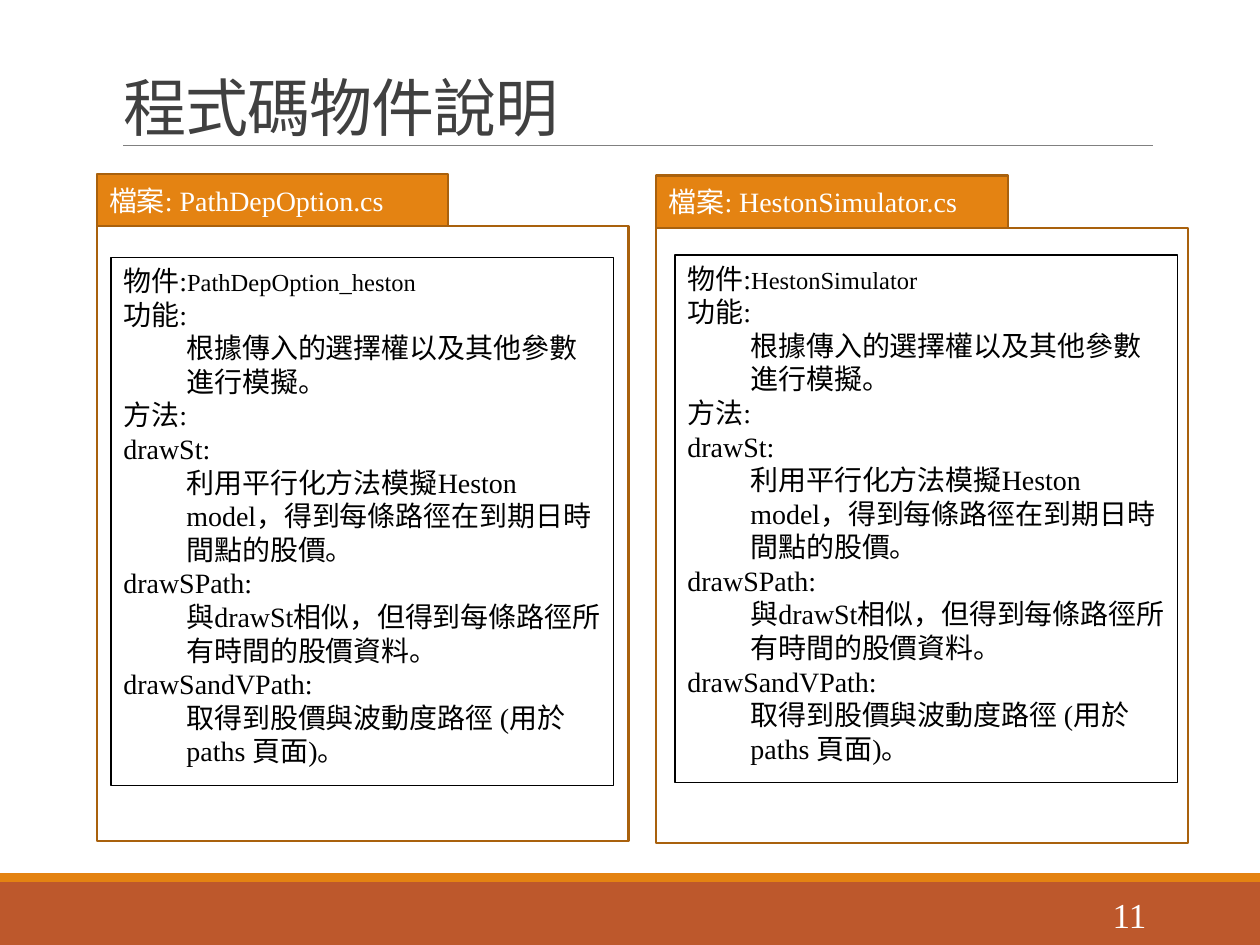
from pptx import Presentation
from pptx import util as u
from pptx.dml.color import RGBColor
from pptx.enum import shapes, text

FONT = "Times New Roman"
ORANGE, RUST, BROWN = "E48312", "BD582C", "A9610D"
MEMBERS = [
    ("功能:", "根據傳入的選擇權以及其他參數進行模擬。"),
    ("方法:", None),
    ("drawSt:", "利用平行化方法模擬Heston model，得到每條路徑在到期日時間點的股價。"),
    ("drawSPath:", "與drawSt相似，但得到每條路徑所有時間的股價資料。"),
    ("drawSandVPath:", "取得到股價與波動度路徑 (用於 paths 頁面)。"),
]


def rgb(value):
    """Turn a hex string into a colour."""
    return RGBColor.from_string(value)


def set_all(target, values):
    """Set each attribute named in a dict."""
    for key, value in values.items():
        setattr(target, key, value)


def add_run(paragraph, wording, size, color):
    """Append formatted words to a paragraph."""
    run = paragraph.add_run()
    run.text = wording
    set_all(run.font, {"name": FONT, "size": u.Pt(size)})
    run.font.color.rgb = rgb(color)
    return run


def add_panel(slide, box, fill=None, line=None, weight=1.25, anchor="MIDDLE"):
    """Draw a rectangle given as left, top, width, height in centimetres."""
    panel = slide.shapes.add_shape(shapes.MSO_SHAPE.RECTANGLE, *map(u.Cm, box))
    panel.shadow.inherit = False
    if fill:
        panel.fill.solid()
        panel.fill.fore_color.rgb = rgb(fill)
    else:
        panel.fill.background()
    if line:
        panel.line.color.rgb = rgb(line)
        panel.line.width = u.Pt(weight)
    else:
        panel.line.fill.background()
    set_all(panel.text_frame, {"word_wrap": True,
                               "vertical_anchor": text.MSO_ANCHOR[anchor]})
    panel.text_frame.paragraphs[0].alignment = text.PP_ALIGN.LEFT
    return panel


def add_header(slide, box, wording):
    """Place the title and the rule under it."""
    left, top, width, height = box
    title = slide.shapes.title
    set_all(title, dict(zip(("left", "top", "width", "height"), map(u.Cm, box))))
    set_all(title.text_frame, {"word_wrap": True,
                               "auto_size": text.MSO_AUTO_SIZE.NONE,
                               "vertical_anchor": text.MSO_ANCHOR.BOTTOM})
    heading = title.text_frame.paragraphs[0]
    set_all(heading, {"alignment": text.PP_ALIGN.LEFT, "line_spacing": 0.85})
    run = add_run(heading, wording, 36, "404040")
    run.font._element.set("spc", "-50")

    rule_y = u.Cm(top + height - 0.1)
    rule = slide.shapes.add_connector(
        shapes.MSO_CONNECTOR.STRAIGHT, u.Cm(left + 0.25), rule_y,
        u.Cm(left + width + 0.05), rule_y)
    rule.line.color.rgb = rgb("808080")
    rule.line.width = u.Pt(0.5)
    effects = rule._element.spPr.makeelement(
        "{http://schemas.openxmlformats.org/drawingml/2006/main}effectLst", {})
    rule._element.spPr.append(effects)


def add_footer(slide, box, number):
    """Draw the two footer bands and the page number."""
    left, top, width, height = box
    stripe = 0.18
    add_panel(slide, (left, top + stripe, width, height - stripe), RUST)
    add_panel(slide, (left, top, width, stripe), ORANGE)
    page = slide.shapes.add_textbox(
        *map(u.Cm, (left + 20.62, top + 0.33, 2.74, 1.02)))
    set_all(page.text_frame, {"word_wrap": True,
                              "vertical_anchor": text.MSO_ANCHOR.MIDDLE})
    paragraph = page.text_frame.paragraphs[0]
    paragraph.alignment = text.PP_ALIGN.RIGHT
    add_run(paragraph, number, 20, "FFFFFF")


def add_file(slide, box, file_name, class_name, inset):
    """Draw a file tab, its frame and the description of its class."""
    left, top, width, height = box
    tab_height = 1.05
    tab = add_panel(slide, (left, top, 7.09, tab_height), ORANGE, BROWN)
    add_run(tab.text_frame.paragraphs[0], f"檔案: {file_name}", 16, "FFFFFF")
    add_panel(slide, (left, top + tab_height, width, height - tab_height), line=BROWN)

    card = add_panel(slide, (left + inset[0], top + inset[1], 10.13, 10.64),
                     line="000000", weight=0.75, anchor="TOP")
    frame = card.text_frame
    add_run(frame.paragraphs[0], "物件:", 16, "000000")
    add_run(frame.paragraphs[0], class_name, 14, "000000")
    for label, detail in MEMBERS:
        for level, wording in enumerate((label, detail)):
            if wording:
                paragraph = frame.add_paragraph()
                set_all(paragraph, {"level": level, "alignment": text.PP_ALIGN.LEFT})
                indent = paragraph._p.get_or_add_pPr()
                indent.set("marL", str(u.Cm(1.27 * level)))
                indent.set("indent", "0")
                add_run(paragraph, wording, 16, "000000")


def main():
    """Build the slide and save it."""
    deck = Presentation()
    set_all(deck, {"slide_width": u.Cm(25.4), "slide_height": u.Cm(19.05)})
    slide = deck.slides.add_slide(deck.slide_layouts[5])
    add_footer(slide, (0, 17.6, 25.4, 1.45), "11")
    add_header(slide, (2.23, 1.09, 20.96, 1.95), "程式碼物件說明")
    add_file(slide, (13.23, 3.54, 10.72, 13.45),
             "HestonSimulator.cs", "HestonSimulator", (0.38, 1.6))
    add_file(slide, (1.95, 3.51, 10.72, 13.45),
             "PathDepOption.cs", "PathDepOption_heston", (0.29, 1.68))
    deck.save("out.pptx")


if __name__ == "__main__":
    main()
